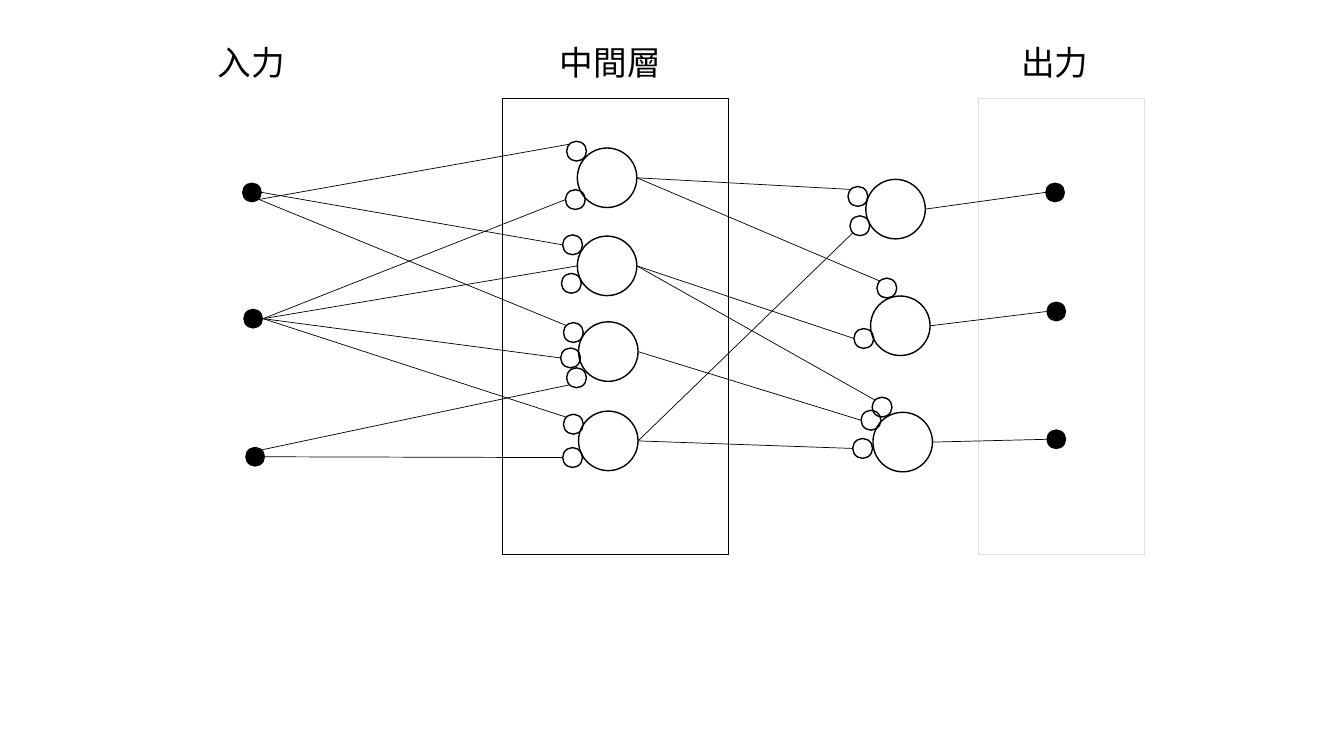
from dataclasses import dataclass
from math import cos, radians, sin

from lxml.etree import SubElement
from pptx import Presentation
from pptx.dml.color import RGBColor
from pptx.enum.shapes import MSO_CONNECTOR, MSO_SHAPE
from pptx.enum.text import MSO_ANCHOR
from pptx.oxml.ns import qn
from pptx.util import Cm, Pt


@dataclass(frozen=True)
class Theme:
    """Colours, type and sizes of the diagram."""
    ink: RGBColor = RGBColor(0, 0, 0)
    paper: RGBColor = RGBColor(255, 255, 255)
    font: str = "Noto Sans CJK JP"
    title: Pt = Pt(24)
    edge: Pt = Pt(1)
    wire: Pt = Pt(0.5)
    dot: float = 0.5
    cell: float = 1.5


@dataclass(frozen=True)
class Box:
    """A region in centimetres."""
    x: float
    y: float
    w: float
    h: float


THEME = Theme()
EAST, SOUTHEAST, SOUTHWEST, WEST, NORTHWEST, NORTHEAST = 0, 45, 135, 180, 225, 315


def draw(slide, kind, box, fill=None, edge=None):
    """Add a plain shape with an optional fill and edge."""
    shape = slide.shapes.add_shape(kind, Cm(box.x), Cm(box.y), Cm(box.w), Cm(box.h))
    shape.shadow.inherit = False
    if fill is None:
        shape.fill.background()
    else:
        shape.fill.solid()
        shape.fill.fore_color.rgb = fill
    if edge is None:
        shape.line.fill.background()
    else:
        shape.line.color.rgb = THEME.ink
        shape.line.width = edge
    return shape


def disk(slide, box, spot, size, kind=MSO_SHAPE.OVAL, **style):
    """Add a circle centred on a spot measured from the box corner."""
    x, y = spot
    place = Box(box.x + x - size / 2, box.y + y - size / 2, size, size)
    return draw(slide, kind, place, **style)


def frame(slide, box, **style):
    """Outline a layer."""
    draw(slide, MSO_SHAPE.FRAME, box, **style).adjustments[0] = 0


def label(slide, box, text):
    """Write a layer title."""
    area = slide.shapes.add_textbox(Cm(box.x), Cm(box.y), Cm(box.w), Cm(box.h))
    frame = area.text_frame
    frame.word_wrap = True
    frame.margin_left = Cm(0.44)
    frame.vertical_anchor = MSO_ANCHOR.MIDDLE
    frame.text = text
    run = frame.paragraphs[0].runs[0]
    run.font.size = THEME.title
    run.font.name = THEME.font
    run.font.color.rgb = THEME.ink
    SubElement(run.font._element, qn("a:ea")).set("typeface", THEME.font)


def dots(slide, box, spots):
    """Place the solid end points of a layer."""
    return [disk(slide, box, spot, THEME.dot, fill=THEME.ink) for spot in spots]


def cells(slide, box, layout, fill=None):
    """Place cells with their small input rings."""
    bodies = [disk(slide, box, body, THEME.cell, MSO_SHAPE.FLOWCHART_CONNECTOR,
                   fill=fill, edge=THEME.edge) for body, _ in layout]
    rings = [[disk(slide, box, spot, THEME.dot, edge=THEME.edge) for spot in spots]
             for _, spots in layout]
    return bodies, rings


def rim(shape, turn):
    """Find the point of a circle at a clockwise angle from the right."""
    half = shape.width / 2
    return (round(shape.left + half + half * cos(radians(turn))),
            round(shape.top + half + half * sin(radians(turn))))


def wire(slide, start, leave, end, enter):
    """Join two circles at the given angles."""
    line = slide.shapes.add_connector(
        MSO_CONNECTOR.STRAIGHT, *rim(start, leave), *rim(end, enter))
    line.line.color.rgb = THEME.ink
    line.line.width = THEME.wire
    SubElement(line._element.spPr, qn("a:effectLst"))


def network(slide, box):
    """Draw the three layers and their wiring."""
    middle = Box(box.x + 7.62, box.y, 5.69, box.h)
    inner = Box(box.x + 16, box.y, 3, box.h)
    final = Box(box.x + 19.61, box.y, 4.19, box.h)
    frame(slide, middle, edge=THEME.edge)
    frame(slide, final, fill=THEME.ink)
    for x, w, text in ((0, 3.45, "入力"), (8.62, 3.45, "中間層"), (20.25, 2.44, "出力")):
        label(slide, Box(box.x + x, box.y - 1.55, w, 1.27), text)

    first, second, third = dots(slide, box, [(1.3, 2.36), (1.33, 5.54), (1.38, 9.02)])
    hidden, taps = cells(slide, middle, [
        ((2.63, 1.99), [(1.86, 1.32), (1.83, 2.54)]),
        ((2.63, 4.21), [(1.76, 3.68), (1.73, 4.65)]),
        ((2.66, 6.37), [(1.78, 5.89), (1.71, 6.53), (1.86, 7.03)]),
        ((2.66, 8.62), [(1.78, 8.2), (1.76, 9.04)]),
    ])
    last, ports = cells(slide, inner, [
        ((1.52, 2.78), [(0.57, 2.46), (0.62, 3.2)]),
        ((1.64, 5.72), [(1.3, 4.77), (0.72, 6.04)]),
        ((1.7, 8.65), [(1.18, 7.77), (0.9, 8.1), (0.69, 8.81)]),
    ], THEME.paper)
    ends = dots(slide, final, [(1.93, 2.36), (1.96, 5.36), (1.96, 8.58)])

    for link in (
        (first, SOUTHEAST, taps[0][0], NORTHWEST),
        (first, EAST, taps[1][0], WEST),
        (first, SOUTHEAST, taps[2][0], NORTHWEST),
        (second, EAST, taps[0][1], WEST),
        (second, EAST, hidden[1], WEST),
        (second, EAST, taps[2][1], WEST),
        (second, EAST, taps[3][0], NORTHWEST),
        (third, NORTHEAST, taps[2][2], SOUTHWEST),
        (third, EAST, taps[3][1], WEST),
        (hidden[0], EAST, ports[0][0], NORTHWEST),
        (hidden[0], EAST, ports[1][0], NORTHWEST),
        (hidden[1], EAST, ports[1][1], WEST),
        (hidden[1], EAST, ports[2][0], NORTHWEST),
        (hidden[2], EAST, ports[2][1], WEST),
        (hidden[3], EAST, ports[0][1], SOUTHWEST),
        (hidden[3], EAST, ports[2][2], WEST),
    ):
        wire(slide, *link)
    for body, end in zip(last, ends):
        wire(slide, body, EAST, end, WEST)


def main():
    """Build and save the slide."""
    deck = Presentation()
    deck.slide_width, deck.slide_height = Cm(33.87), Cm(19.05)
    slide = deck.slides.add_slide(deck.slide_layouts[6])
    network(slide, Box(5.05, 2.49, 23.8, 11.48))
    deck.save("out.pptx")


if __name__ == "__main__":
    main()
